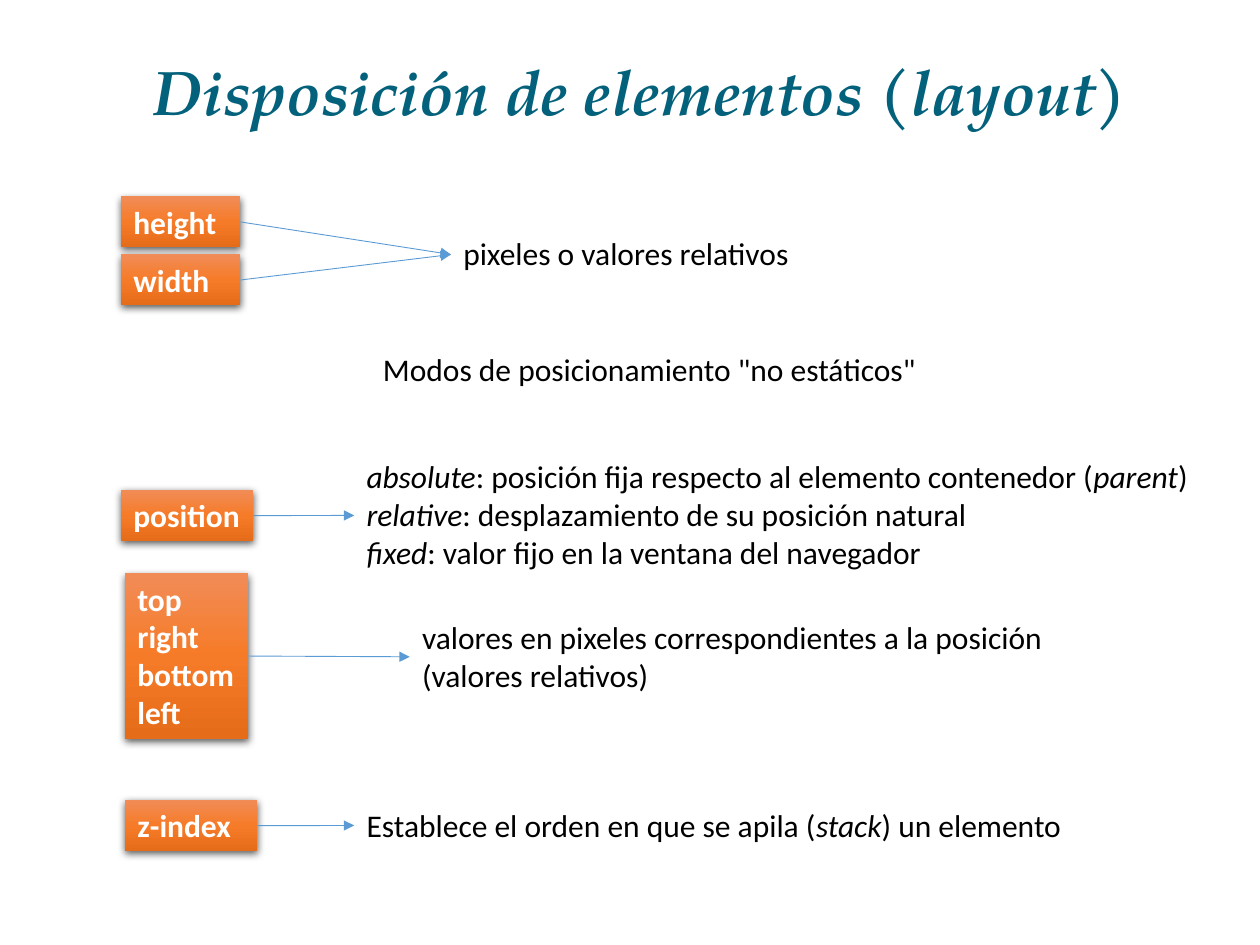
import copy

import pptx
import pptx.dml.color
import pptx.enum.shapes
import pptx.enum.text
import pptx.oxml
import pptx.oxml.ns
import pptx.util
from pptx.util import Cm

COLORS = {"title": "04617B", "text": "000000", "label": "FFFFFF", "arrow": "5B9BD5",
          "top": "F18C57", "middle": "F67B28", "bottom": "E56C19", "shadow": "000000"}
TITLE_FONT = {"name": "TeX Gyre Pagella", "size": pptx.util.Pt(36), "bold": True, "italic": True}
TEXT_FONT = {"name": "Calibri", "size": pptx.util.Pt(18), "bold": False}
LABEL_FONT = {**TEXT_FONT, "bold": True}
NAMESPACE = pptx.oxml.ns.nsdecls("a")
SHADOW = (f'<a:outerShdw {NAMESPACE} blurRad="57150" dist="19050" dir="5400000" algn="ctr" '
          f'rotWithShape="0"><a:srgbClr val="{COLORS["shadow"]}"><a:alpha val="63000"/>'
          '</a:srgbClr></a:outerShdw>')


def color(name):
    return pptx.dml.color.RGBColor.from_string(COLORS[name])


def write(box, lines, font, color_name):
    """Fill a box with paragraphs; asterisks enclose italics, \\n breaks a line."""
    frame = box.text_frame
    for index, line in enumerate(lines):
        para = frame.add_paragraph() if index else frame.paragraphs[0]
        para.alignment = pptx.enum.text.PP_ALIGN.LEFT
        for part, piece in enumerate(line.split("*")):
            for row, words in enumerate(piece.split("\n")):
                if row:
                    para.add_line_break()
                span = para.add_run()
                span.text = words
                for key, value in {"italic": part % 2 == 1, **font}.items():
                    setattr(span.font, key, value)
                span.font.color.rgb = color(color_name)


deck = pptx.Presentation()
deck.slide_width, deck.slide_height = Cm(25.4), Cm(19.05)
page = deck.slides.add_slide(deck.slide_layouts[5])

# Title
title = page.shapes.title
title.left, title.top, title.width, title.height = Cm(1.96), Cm(0.71), Cm(21.89), Cm(2.21)
title.text_frame.vertical_anchor = pptx.enum.text.MSO_ANCHOR.MIDDLE
write(title, ["Disposición de elementos (layout)"], TITLE_FONT, "title")
title.text_frame.paragraphs[0].alignment = pptx.enum.text.PP_ALIGN.CENTER

# Property labels: left, top, width, height, text
labels = [
    (2.44, 3.96, 2.41, 1.03, "height"),
    (2.44, 5.13, 2.41, 1.03, "width"),
    (2.44, 9.88, 2.67, 1.03, "position"),
    (2.52, 11.56, 2.49, 3.33, "top\nright\nbottom\nleft"),
    (2.52, 16.13, 2.67, 1.03, "z-index"),
]
for left, top, width, height, text in labels:
    label = page.shapes.add_shape(pptx.enum.shapes.MSO_SHAPE.RECTANGLE,
                                  Cm(left), Cm(top), Cm(width), Cm(height))
    label.fill.gradient()
    stop_list = label._element.spPr.find(".//" + pptx.oxml.ns.qn("a:gsLst"))
    stop_list.append(copy.deepcopy(stop_list[-1]))
    label.fill.gradient_angle = 270
    for stop, (position, name) in zip(label.fill.gradient_stops,
                                      [(0, "top"), (0.5, "middle"), (1, "bottom")]):
        stop.position = position
        stop.color.rgb = color(name)
    label.line.fill.background()
    label.shadow.inherit = False
    effects = label._element.spPr.find(pptx.oxml.ns.qn("a:effectLst"))
    effects.append(pptx.oxml.parse_xml(SHADOW))
    label.text_frame.word_wrap = True
    label.text_frame.vertical_anchor = pptx.enum.text.MSO_ANCHOR.TOP
    write(label, [text], LABEL_FONT, "label")

# Explanations: left, top, width, height, paragraphs
explanations = [
    (9.09, 4.6, 7.19, 1.03, ["pixeles o valores relativos"]),
    (7.47, 6.93, 11.38, 1.03, ['Modos de posicionamiento "no estáticos"']),
    (7.14, 9.09, 17.07, 2.57, [
        "*absolute*: posición fija respecto al elemento contenedor (*parent*)",
        "*relative*: desplazamiento de su posición natural",
        "*fixed*: valor fijo en la ventana del navegador"]),
    (8.26, 12.34, 13.16, 1.8,
     ["valores en pixeles correspondientes a la posición\n(valores relativos)"]),
    (7.14, 16.13, 14.83, 1.03, ["Establece el orden en que se apila (*stack*) un elemento"]),
]
for left, top, width, height, lines in explanations:
    box = page.shapes.add_textbox(Cm(left), Cm(top), Cm(width), Cm(height))
    box.text_frame.word_wrap = True
    write(box, lines, TEXT_FONT, "text")

# Arrows from the middle of each label's right edge to its explanation
targets = [(9.09, 5.13), (9.09, 5.13), (7.14, 10.39), (8.26, 13.24), (7.14, 16.64)]
for (left, top, width, height, _), (end_x, end_y) in zip(labels, targets):
    arrow = page.shapes.add_connector(pptx.enum.shapes.MSO_CONNECTOR.STRAIGHT,
                                      Cm(left + width), Cm(top + height / 2),
                                      Cm(end_x), Cm(end_y))
    arrow.line.color.rgb = color("arrow")
    arrow.line.width = pptx.util.Pt(0.5)
    arrow.line._get_or_add_ln().append(
        pptx.oxml.parse_xml(f'<a:tailEnd {NAMESPACE} type="triangle"/>'))
    arrow._element.spPr.append(pptx.oxml.parse_xml(f"<a:effectLst {NAMESPACE}/>"))

deck.save("out.pptx")
